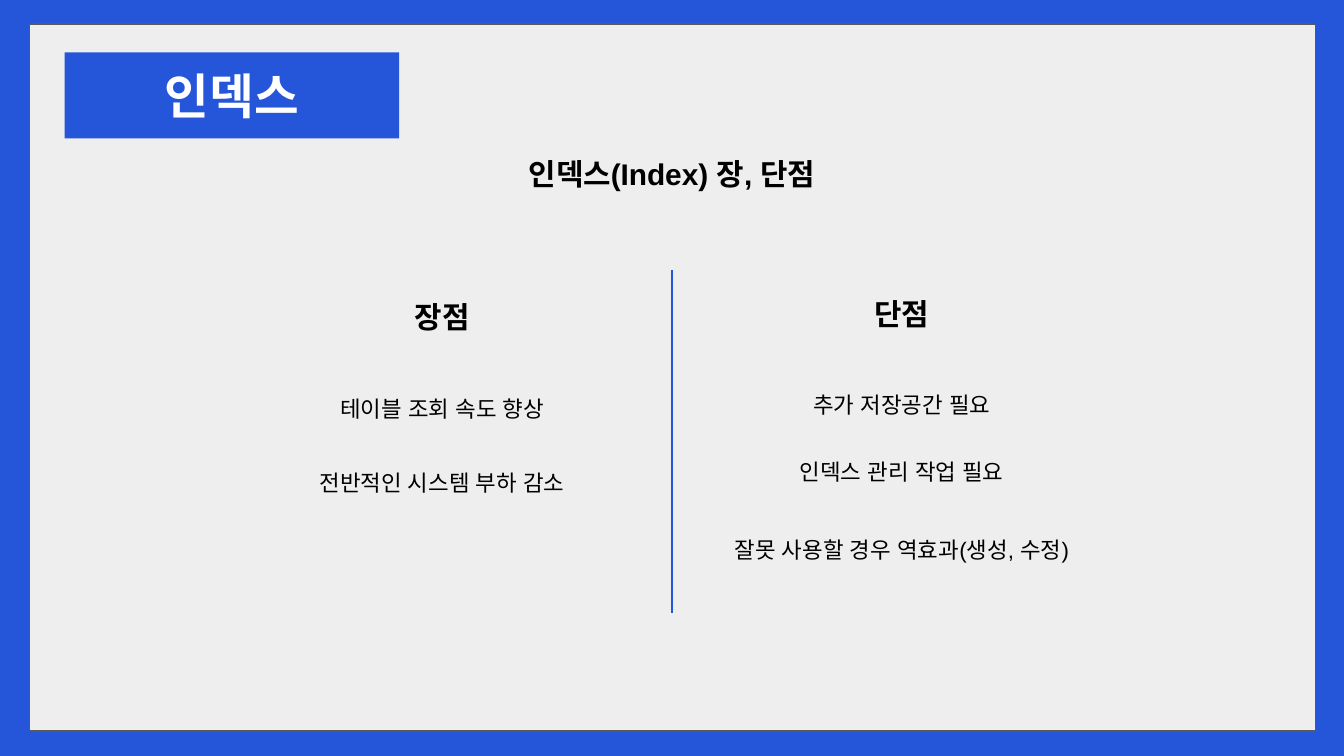
from lxml import etree
from pptx import Presentation
from pptx.dml.color import RGBColor
from pptx.enum import shapes, text
from pptx.oxml import ns
from pptx.util import Inches, Pt

THEME = {
    "blue": "2555D9", "panel": "EEEEEE", "edge": "595959",
    "ink": "000000", "white": "FFFFFF", "font": "Arial",
    "title": 26, "head": 16, "body": 12,
}
TITLE = "인덱스"
TOPIC = "인덱스(Index) 장, 단점"
COLUMNS = [
    (3.29, 2.12, "장점", [(2.84, 2.17, "테이블 조회 속도 향상"),
                        (3.39, 3.06, "전반적인 시스템 부하 감소")]),
    (6.71, 2.1, "단점", [(2.81, 2.17, "추가 저장공간 필요"),
                       (3.31, 3.06, "인덱스 관리 작업 필요"),
                       (3.89, 3.06, "잘못 사용할 경우 역효과(생성, 수정)")]),
]


def color(name):
    return RGBColor.from_string(THEME[name])


def write(shape, words, size, ink="ink", bold=False):
    frame = shape.text_frame
    frame.word_wrap = True
    frame.margin_left = frame.margin_right = Inches(0.1)
    frame.margin_top = frame.margin_bottom = Inches(0.1)
    para = frame.paragraphs[0]
    para.alignment = text.PP_ALIGN.CENTER
    run = para.add_run()
    run.text = words
    font = run.font
    font.size, font.bold = Pt(THEME[size]), bold
    font.color.rgb = color(ink)
    font.name = THEME["font"]
    face = etree.SubElement(run._r.get_or_add_rPr(), ns.qn("a:ea"))
    face.set("typeface", THEME["font"])


def label(parent, mid, top, width, words, size, bold=False):
    height = 0.47 if size == "head" else 0.4
    box = parent.add_textbox(Inches(mid - width / 2), Inches(top), Inches(width), Inches(height))
    write(box, words, size, bold=bold)


def block(slide, left, top, width, height, fill):
    shape = slide.shapes.add_shape(shapes.MSO_SHAPE.RECTANGLE, Inches(left), Inches(top),
                                   Inches(width), Inches(height))
    shape.shadow.inherit = False
    shape.fill.solid()
    shape.fill.fore_color.rgb = color(fill)
    return shape


def main():
    deck = Presentation()
    deck.slide_width = Inches(10)
    deck.slide_height = Inches(10) * 9 // 16
    slide = deck.slides.add_slide(deck.slide_layouts[6])
    slide.background.fill.solid()
    slide.background.fill.fore_color.rgb = color("blue")

    panel = block(slide, 0.22, 0.18, 9.57, 5.26, "panel")
    panel.line.color.rgb = color("edge")
    panel.line.width = Pt(0.75)

    label(slide.shapes, 5, 1.06, 3.59, TOPIC, "head", True)
    for mid, top, head, rows in COLUMNS:
        group = slide.shapes.add_group_shape().shapes
        label(group, mid, top, 2.24, head, "head", True)
        for row, width, words in rows:
            label(group, mid, row, width, words, "body")

    rule = slide.shapes.add_connector(shapes.MSO_CONNECTOR.STRAIGHT, Inches(5), Inches(4.56),
                                      Inches(5), Inches(2.01))
    rule.line.color.rgb = color("blue")
    rule.line.width = Pt(1.5)
    etree.SubElement(rule._element.spPr, ns.qn("a:effectLst"))

    badge = block(slide, 0.48, 0.39, 2.49, 0.64, "blue")
    badge.line.fill.background()
    write(badge, TITLE, "title", "white", True)
    deck.save("out.pptx")


if __name__ == "__main__":
    main()
